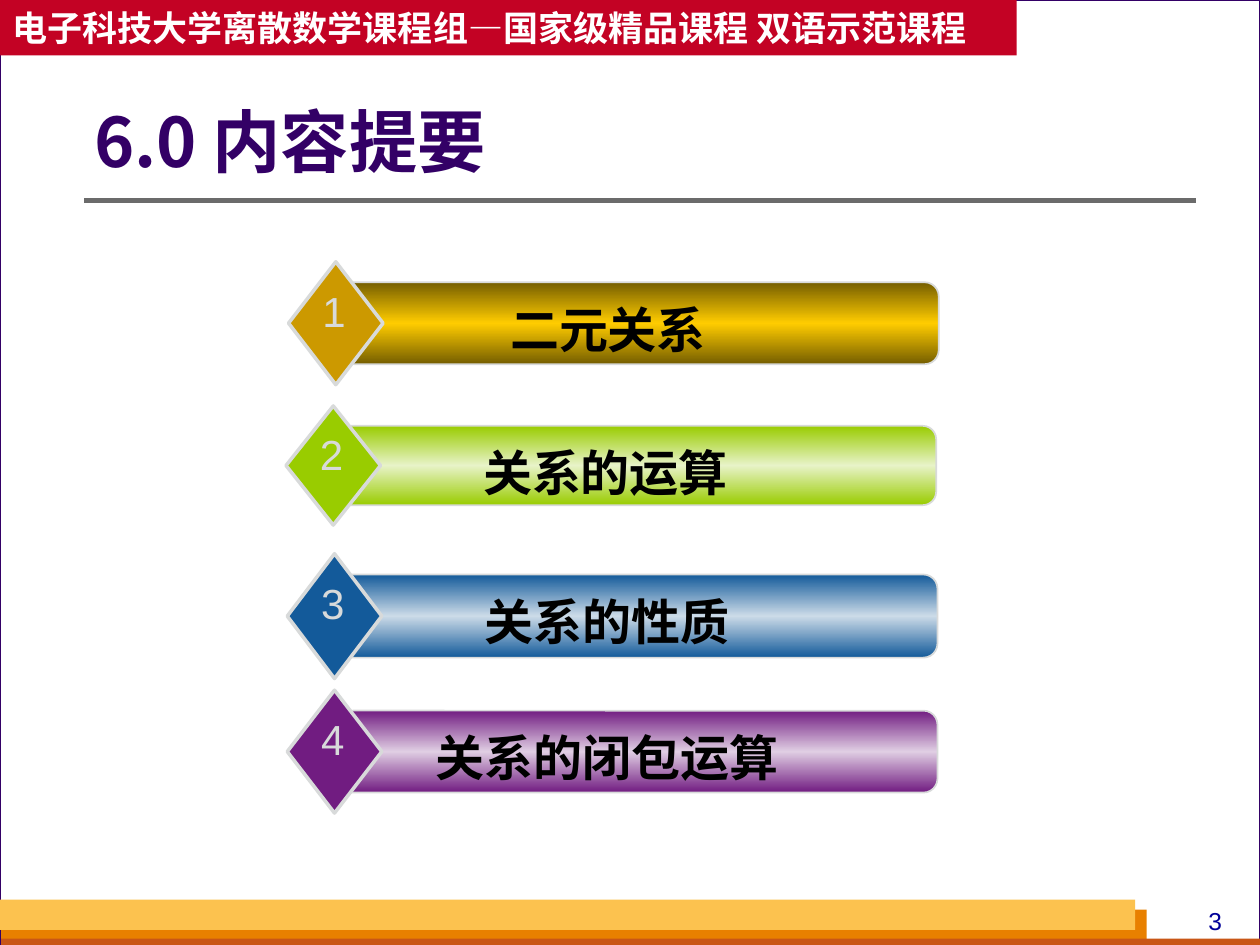
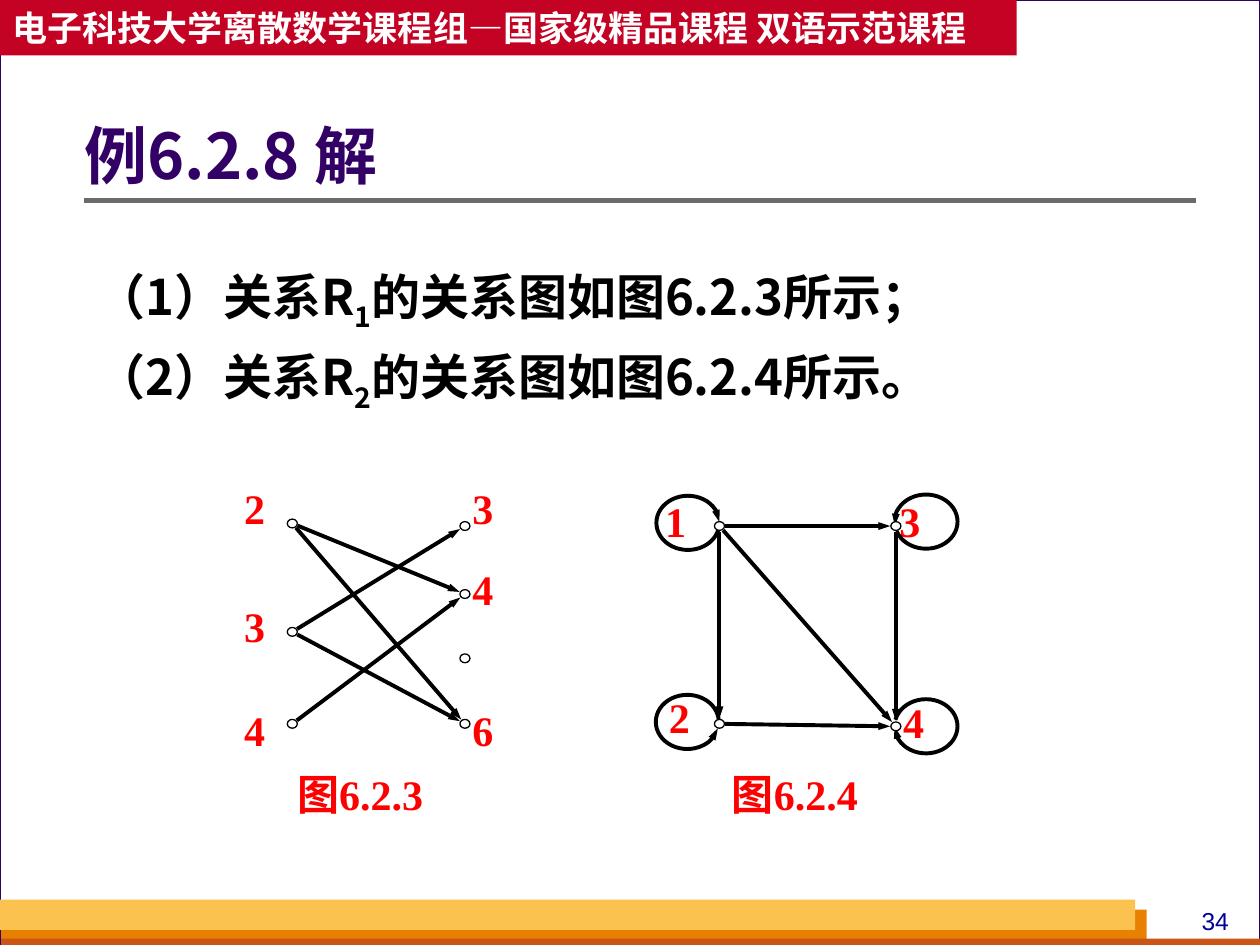
from math import hypot

from copy import deepcopy
from lxml.etree import SubElement
from pptx import Presentation
from pptx.dml.color import RGBColor
from pptx.enum.shapes import MSO_CONNECTOR, MSO_SHAPE
from pptx.enum.text import MSO_ANCHOR, PP_ALIGN
from pptx.oxml.ns import qn
from pptx.util import Inches, Pt

COLUMNS, ROWS = 100, 75
CELL = Inches(10) // COLUMNS

SANS, LATIN, SERIF = "Noto Sans CJK SC", "Arial", "Times New Roman"
WHITE, BLACK, RED, SILVER = "FFFFFF", "000000", "FF0000", "D8DADA"
INDIGO, CRIMSON, GRAY, NAVY = "330066", "C30224", "6B6B6B", "000099"
ORANGE, RUST, AMBER = "E88000", "C95616", "FCC24F"

COURSE = "电子科技大学离散数学课程组—国家级精品课程 双语示范课程"

TOPICS = [
    ("二元关系", 27.0, 22.4, 6.5, "CC9900", "755E00", "FFCC00"),
    ("关系的运算", 26.8, 33.8, 6.3, "99CC00", "99CC00", "E8F3C8"),
    ("关系的性质", 26.9, 45.6, 6.6, "135A9A", "135A9A", "CCDBE8"),
    ("关系的闭包运算", 26.9, 56.4, 6.5, "711C81", "711C81", "E0CEE3"),
]

LEFT_COLUMN, RIGHT_COLUMN = 23.2, 36.9
MAPPING_NODES = {
    "a2": (LEFT_COLUMN, 41.55),
    "a3": (LEFT_COLUMN, 50.15),
    "a4": (LEFT_COLUMN, 57.45),
    "b3": (RIGHT_COLUMN, 41.75),
    "b4": (RIGHT_COLUMN, 47.15),
    "b5": (RIGHT_COLUMN, 52.25),
    "b6": (RIGHT_COLUMN, 57.45),
}
MAPPING_EDGES = [("a2", "b4"), ("a2", "b6"), ("a3", "b3"), ("a3", "b6"), ("a4", "b4")]
MAPPING_LABELS = [
    ("2", 18.4, 37.8), ("3", 18.4, 47.2), ("4", 18.4, 55.4),
    ("3", 36.5, 37.8), ("4", 36.5, 44.2), ("6", 36.5, 55.4),
]

SQUARE_NODES = {
    "1": (57.1, 41.75),
    "2": (57.1, 57.45),
    "3": (71.1, 41.75),
    "4": (71.1, 57.65),
}
SQUARE_EDGES = [("1", "2"), ("1", "3"), ("1", "4"), ("3", "4"), ("2", "4")]
SQUARE_LABELS = [("1", 51.8, 38.8), ("2", 52.1, 54.4), ("3", 70.4, 38.8), ("4", 70.7, 54.8)]
SQUARE_LOOPS = [
    (54.6, 41.5, 12, 358, "tailEnd"),
    (54.55, 57.3, 12, 358, "headEnd"),
    (73.5, 41.4, 173, 162, "headEnd"),
    (73.5, 57.65, 192, 179, "tailEnd"),
]


def rgb(code):
    return RGBColor.from_string(code)


def cells(*amounts):
    return [round(amount * CELL) for amount in amounts]


def set_line(item, color, width):
    item.line.color.rgb = rgb(color)
    item.line.width = Pt(width)


def add_block(page, kind, left, top, width, height, fill=None, line=None, line_width=0.75):
    block = page.shapes.add_shape(kind, *cells(left, top, width, height))
    block.shadow.inherit = False
    if fill:
        block.fill.solid()
        block.fill.fore_color.rgb = rgb(fill)
    else:
        block.fill.background()
    if line:
        set_line(block, line, line_width)
    else:
        block.line.fill.background()
    return block


def write(box, text, size=24, font=LATIN, color=BLACK, bold=False, align=PP_ALIGN.LEFT,
          anchor=MSO_ANCHOR.TOP, wrap=True, spacing=None, inset=1):
    frame = box.text_frame
    frame.word_wrap = wrap
    frame.vertical_anchor = anchor
    frame.margin_left, frame.margin_right = cells(inset, 1)
    frame.margin_top, frame.margin_bottom = cells(0.5, 0.5)
    para = frame.paragraphs[0]
    para.alignment = align
    if spacing:
        para.line_spacing = spacing
    for piece in [text] if isinstance(text, str) else text:
        if piece == "\n":
            para.add_line_break()
            continue
        content, is_subscript = piece if isinstance(piece, tuple) else (piece, False)
        span = para.add_run()
        span.text = content
        span.font.size = Pt(size)
        span.font.bold = bold
        span.font.color.rgb = rgb(color)
        span.font.name = font
        properties = span._r.get_or_add_rPr()
        SubElement(properties, qn("a:ea")).set("typeface", SANS)
        if is_subscript:
            properties.set("baseline", "-25000")


def add_text(page, text, left, top, width, height, **style):
    box = page.shapes.add_textbox(*cells(left, top, width, height))
    write(box, text, **style)


def add_line(page, start, end, color, width):
    line = page.shapes.add_connector(MSO_CONNECTOR.STRAIGHT, *cells(*start, *end))
    set_line(line, color, width)
    SubElement(line._element.spPr, qn("a:effectLst"))
    return line


def add_arrowhead(item, side):
    head = SubElement(item.line._get_or_add_ln(), qn("a:" + side))
    head.set("type", "triangle")
    head.set("w", "sm")
    head.set("len", "med")


def add_arrow(page, start, end, gap=0.45):
    run, rise = end[0] - start[0], end[1] - start[1]
    length = hypot(run, rise)
    shift_x, shift_y = gap * run / length, gap * rise / length
    arrow = add_line(page, (start[0] + shift_x, start[1] + shift_y),
                     (end[0] - shift_x, end[1] - shift_y), BLACK, 2.25)
    add_arrowhead(arrow, "tailEnd")


def add_loop(page, center_x, center_y, start, end, side, width=5.0, height=4.3):
    loop = add_block(page, MSO_SHAPE.ARC, center_x - width / 2, center_y - height / 2,
                     width, height, line=BLACK, line_width=2.25)
    loop.adjustments[0] = start * 0.6
    loop.adjustments[1] = end * 0.6
    add_arrowhead(loop, side)


def add_node(page, center_x, center_y, width=0.8, height=0.7):
    add_block(page, MSO_SHAPE.OVAL, center_x - width / 2, center_y - height / 2,
              width, height, fill=WHITE, line=BLACK)


def add_graph(page, nodes, edges, labels, caption, caption_left, loops=()):
    red_style = dict(font=SERIF, color=RED, bold=True)
    for text, left, top in labels:
        add_text(page, text, left, top, 5.3, 5.9, **red_style)
    caption_box = add_block(page, MSO_SHAPE.RECTANGLE, caption_left, 60.5, 15.9, 5.9, fill=WHITE)
    write(caption_box, caption, **red_style)
    for loop in loops:
        add_loop(page, *loop)
    for source, target in edges:
        add_arrow(page, nodes[source], nodes[target])
    for center in nodes.values():
        add_node(page, *center)


def add_topic(page, number, label, left, top, height, diamond_color, edge, middle):
    bar = add_block(page, MSO_SHAPE.ROUNDED_RECTANGLE, left, top, 47.5, height,
                    line=SILVER, line_width=1)
    bar.adjustments[0] = 0.17
    bar.fill.gradient()
    bar.fill.gradient_angle = 270
    stops = bar._element.spPr.find(".//" + qn("a:gsLst"))
    stops.append(deepcopy(stops[0]))
    for stop, color, position in zip(bar.fill.gradient_stops, (edge, middle, edge), (0, 0.5, 1)):
        stop.color.rgb = rgb(color)
        stop.position = position
    add_block(page, MSO_SHAPE.DIAMOND, left - 4.1, top - height / 4, 7.5, height * 1.5,
              fill=diamond_color, line=SILVER, line_width=2)
    add_text(page, label, left + 2.5, top + 0.85, 37.5, 5.7, size=28, bold=True,
             align=PP_ALIGN.CENTER)
    add_text(page, str(number), left - 2.4, top - 0.25, 3.8, 5, color=SILVER,
             align=PP_ALIGN.CENTER, wrap=False)


def add_page(deck, number, title, title_size, title_left, title_width, title_height):
    page = deck.slides.add_slide(deck.slide_layouts[6])
    page.background.fill.solid()
    page.background.fill.fore_color.rgb = rgb(SILVER)
    add_block(page, MSO_SHAPE.RECTANGLE, 0, 0, COLUMNS, ROWS, fill=WHITE, line=INDIGO)
    for left, top, width, height, color in [
        (0.1, 72.2, 90.9, 2.8, ORANGE),
        (0.1, 74.5, 99.9, 0.5, RUST),
        (0, 71.4, 90.1, 2.4, AMBER),
    ]:
        add_block(page, MSO_SHAPE.RECTANGLE, left, top, width, height, fill=color)
    add_text(page, str(number), 93.3, 71.4, 6.3, 3.4, size=14, color=NAVY,
             align=PP_ALIGN.CENTER)
    add_line(page, (6.7, 15.9), (94.9, 15.9), GRAY, 3)
    band = add_block(page, MSO_SHAPE.RECTANGLE, 0, 0, 80.7, 4.4, fill=CRIMSON)
    write(band, COURSE, size=20, font=SANS, color=WHITE, bold=True,
          anchor=MSO_ANCHOR.MIDDLE, wrap=False)
    add_text(page, title, title_left, 7.6, title_width, title_height, size=title_size,
             font=SANS, color=INDIGO, bold=True, anchor=MSO_ANCHOR.MIDDLE,
             spacing=0.9, inset=0)
    return page


def add_contents_page(deck):
    page = add_page(deck, 3, "6.0 内容提要", 39, 7.5, 86.8, 7.8)
    for number, topic in enumerate(TOPICS, 1):
        add_topic(page, number, *topic)


def add_solution_page(deck):
    page = add_page(deck, 34, "例6.2.8 解", 36, 6.7, 88.2, 10.1)
    answer = [
        "（1）关系R", ("1", True), "的关系图如图6.2.3所示；", "\n",
        "（2）关系R", ("2", True), "的关系图如图6.2.4所示。",
    ]
    add_text(page, answer, 6.7, 19.6, 88.2, 50.2, size=28, font=SANS, bold=True, spacing=1.2)
    add_graph(page, MAPPING_NODES, MAPPING_EDGES, MAPPING_LABELS, "图6.2.3", 22.6)
    add_graph(page, SQUARE_NODES, SQUARE_EDGES, SQUARE_LABELS, "图6.2.4", 57.1, SQUARE_LOOPS)


def main():
    deck = Presentation()
    deck.slide_width, deck.slide_height = cells(COLUMNS, ROWS)
    add_contents_page(deck)
    add_solution_page(deck)
    deck.save("out.pptx")


if __name__ == "__main__":
    main()
